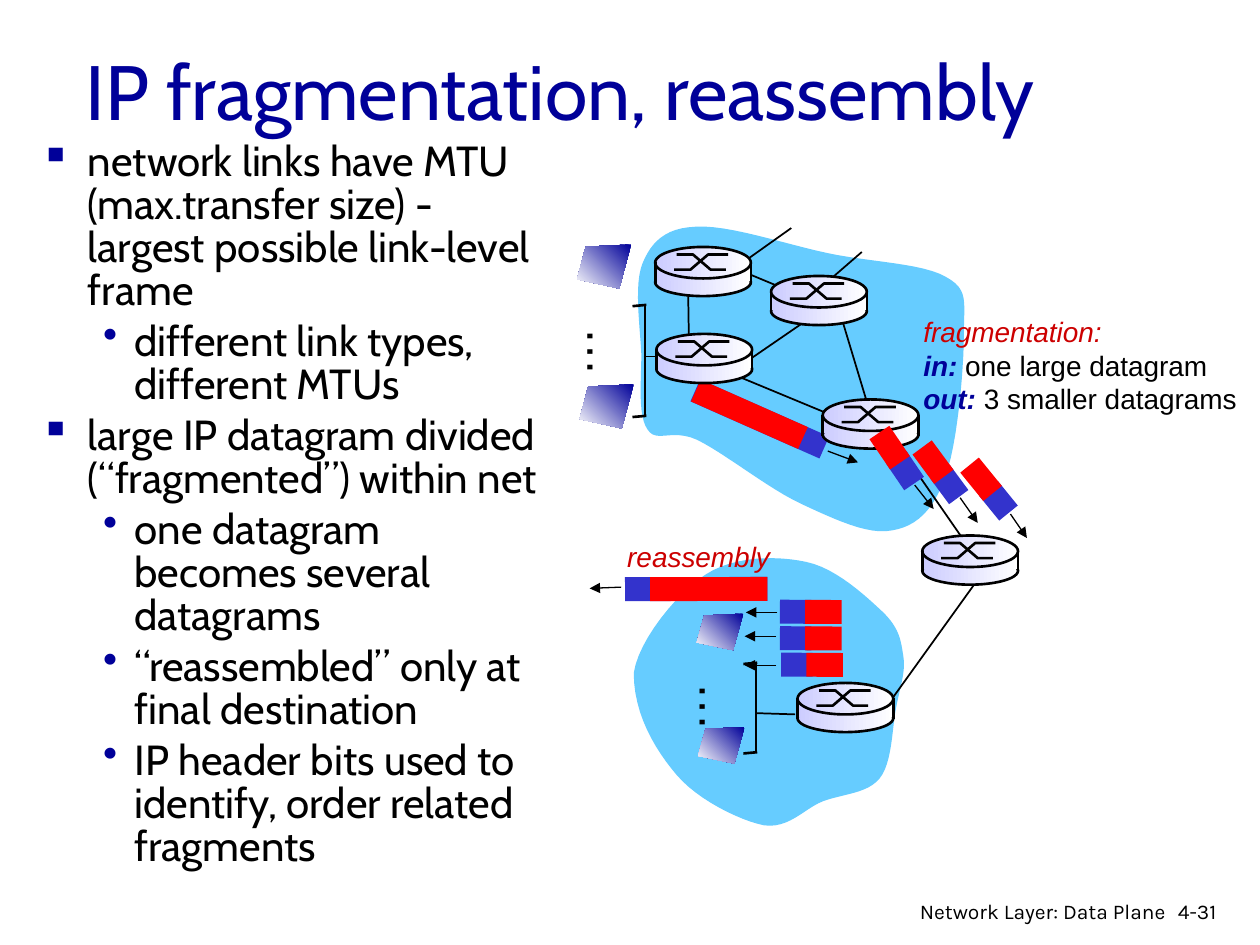
"""Build the slide on IP fragmentation and reassembly."""
from dataclasses import dataclass
from itertools import chain
from math import cos, radians, sin
from typing import Any, Optional

from lxml.etree import SubElement
from pptx import Presentation
from pptx.dml.color import RGBColor
from pptx.enum.shapes import MSO_CONNECTOR, MSO_SHAPE
from pptx.enum.text import MSO_ANCHOR, MSO_AUTO_SIZE, PP_ALIGN
from pptx.oxml.ns import qn
from pptx.util import Emu, Pt

PX = 9144
CURVE_STEPS = 12
Point = tuple[float, float]


@dataclass(frozen=True)
class Theme:
    black: RGBColor = RGBColor(0, 0, 0)
    white: RGBColor = RGBColor(255, 255, 255)
    navy: RGBColor = RGBColor(0, 0, 0x99)
    crimson: RGBColor = RGBColor(0xCC, 0, 0)
    cloud: RGBColor = RGBColor(0x66, 0xCC, 0xFF)
    header: RGBColor = RGBColor(0x33, 0x33, 0xCC)
    payload: RGBColor = RGBColor(255, 0, 0)
    lilac: RGBColor = RGBColor(0xCC, 0xCC, 0xFF)
    heading_font: str = "Cabin"
    label_font: str = "Arial"
    footer_font: str = "Karla"
    title_size: float = 44
    body_size: float = 24
    label_size: float = 16
    dots_size: float = 28
    footer_size: float = 12
    thin: float = 0.75
    link: float = 1
    heavy: float = 1.5


THEME = Theme()


@dataclass(frozen=True)
class Packet:
    center: Point
    header_width: int
    payload_width: int
    offset: int
    rotation: float
    arrow: tuple[Point, Point]


@dataclass(frozen=True)
class Site:
    bus: int
    top: int
    bottom: int
    hosts: tuple[Point, Point]
    host_size: tuple[int, int]
    dots: Point


@dataclass(frozen=True)
class Bullet:
    level: int
    text: str


BULLETS = (
    Bullet(0, "network links have MTU (max.transfer size) - largest possible link-level frame"),
    Bullet(1, "different link types, different MTUs"),
    Bullet(0, "large IP datagram divided (“fragmented”) within net"),
    Bullet(1, "one datagram becomes several datagrams"),
    Bullet(1, "“reassembled” only at final destination"),
    Bullet(1, "IP header bits used to identify, order related fragments"),
)
BULLET_STYLES = (("▪", 38, -38), ("•", 75, -25))
CORE_CLOUD = [
    (552, 180), (528, 181), (517, 192), (510, 209), (503, 226), (508, 259), (509, 281),
    (509, 303), (506, 330), (514, 341), (521, 352), (533, 340), (553, 349),
    (574, 359), (610, 388), (636, 400), (662, 412), (689, 425), (708, 421),
    (727, 418), (741, 405), (750, 379), (760, 353), (765, 292), (765, 266),
    (765, 239), (769, 230), (751, 220), (733, 209), (690, 208), (657, 201),
    (624, 194), (577, 178), (552, 180)]
EDGE_CLOUD = [
    (503, 534), (507, 508), (537, 471), (560, 456), (583, 441), (617, 441), (640, 446),
    (664, 451), (688, 474), (701, 486), (714, 499), (715, 508), (717, 521),
    (719, 534), (714, 546), (711, 563), (708, 579), (708, 606), (698, 618),
    (688, 630), (669, 630), (653, 636), (638, 642), (626, 658), (606, 655),
    (587, 651), (554, 635), (537, 615), (520, 595), (503, 567), (503, 534)]
LINKS = (
    ((511, 283), (525, 283)), ((574, 209), (646, 239)), ((666, 246), (688, 319)),
    ((546, 221), (547, 285)), ((572, 293), (678, 337)), ((763, 426), (711, 351)),
    ((658, 242), (575, 299)), ((628, 181), (576, 218)), ((684, 200), (654, 226)),
    ((776, 460), (707, 556)), ((600, 566), (631, 567)))
DATAGRAM = Packet((603, 332.5), 112, 93, 9, 23.9, ((657, 358), (681, 367)))
REASSEMBLED = Packet((552.5, 467.5), 113, 93, 10, 179.9, ((493, 466), (468, 467)))
ARRIVING = tuple(
    Packet((x, y), 25, 29, 22, 180.4, ((start, arrow_y), (start - 25, arrow_y)))
    for x, y, start, arrow_y in
    ((631.5, 485.5, 617, 486), (631.5, 506.5, 616, 505), (632.5, 527.5, 616, 528)))
DEPARTING = (
    Packet((718.5, 373.5), 25, 29, 22, 55.8, ((726, 385), (741, 404))),
    Packet((753.5, 384.5), 25, 29, 22, 53.6, ((762, 395), (776, 415))),
    Packet((792.5, 397.5), 25, 29, 22, 50.9, ((802, 408), (815, 427))))
ROUTERS = ((653, 317), (520, 196), (521, 265), (612, 219), (732, 425), (633, 542))
SITES = (
    Site(512, 242, 330, ((458, 194), (460, 305)), (43, 35), (452, 251)),
    Site(600, 526, 597, ((553, 487), (554, 577)), (37, 29), (541, 533)))


def emu(length: float) -> Emu:
    return Emu(round(length * PX))


def set_gradient(shape: Any, start: RGBColor, end: RGBColor, angle: int) -> None:
    shape.fill.gradient()
    shape.fill.gradient_angle = angle
    for stop, color in zip(shape.fill.gradient_stops, (start, end)):
        stop.color.rgb = color


def set_outline(shape: Any, width: Optional[float]) -> None:
    shape.shadow.inherit = False
    if width is None:
        shape.line.fill.background()
    else:
        shape.line.color.rgb = THEME.black
        shape.line.width = Pt(width)


def add_line(shapes: Any, start: Point, end: Point, width: float, arrow: bool = False) -> None:
    line = shapes.add_connector(MSO_CONNECTOR.STRAIGHT, *map(emu, start + end))
    line.line.color.rgb = THEME.black
    line.line.width = Pt(width)
    properties = line._element.spPr
    if arrow:
        SubElement(properties.find(qn("a:ln")), qn("a:tailEnd"), type="triangle")
    SubElement(properties, qn("a:effectLst"))


def add_outline(shapes: Any, points: list[Point], close: bool, width: Optional[float] = None) -> Any:
    corners = [(emu(x), emu(y)) for x, y in points]
    builder = shapes.build_freeform(*corners[0])
    builder.add_line_segments(corners[1:], close=close)
    shape = builder.convert_to_shape()
    set_outline(shape, width)
    return shape


def add_cloud(shapes: Any, nodes: list[Point]) -> None:
    points = [nodes[0]]
    for index in range(0, len(nodes) - 1, 3):
        for step in range(1, CURVE_STEPS + 1):
            t = step / CURVE_STEPS
            weights = ((1 - t) ** 3, 3 * t * (1 - t) ** 2, 3 * t * t * (1 - t), t ** 3)
            x, y = (sum(w * node[axis] for w, node in zip(weights, nodes[index:index + 4]))
                    for axis in (0, 1))
            points.append((x, y))
    cloud = add_outline(shapes, points, True)
    cloud.fill.solid()
    cloud.fill.fore_color.rgb = THEME.cloud


def add_packet(shapes: Any, packet: Packet) -> None:
    angle = radians(packet.rotation)
    x, y = packet.center
    parts = ((0, packet.header_width, THEME.header),
             (packet.offset, packet.payload_width, THEME.payload))
    for offset, width, color in parts:
        left = x - offset * cos(angle) - width / 2
        top = y - offset * sin(angle) - 19 / 2
        bar = shapes.add_shape(MSO_SHAPE.RECTANGLE, *map(emu, (left, top, width, 19)))
        bar.rotation = packet.rotation
        bar.fill.solid()
        bar.fill.fore_color.rgb = color
        set_outline(bar, None)
    add_line(shapes, *packet.arrow, THEME.thin, arrow=True)


def add_router(shapes: Any, left: int, top: int) -> None:
    router = shapes.add_group_shape().shapes
    for kind, drop, height, width in ((MSO_SHAPE.OVAL, 17, 22, THEME.heavy),
                                      (MSO_SHAPE.RECTANGLE, 14, 13, None),
                                      (MSO_SHAPE.OVAL, 0, 25, THEME.heavy)):
        part = router.add_shape(kind, *map(emu, (left, top + drop, 76, height)))
        set_gradient(part, THEME.lilac, THEME.white, 0)
        set_outline(part, width)
    for trace in (((15, 18), (28, 18), (42, 6), (58, 6)), ((17, 6), (30, 6), (44, 18), (56, 18))):
        wire = add_outline(router, [(left + x, top + y) for x, y in trace], False, THEME.heavy)
        wire.fill.background()
    for side in (left, left + 76):
        add_line(router, (side, top + 12), (side, top + 29), THEME.heavy)


def add_text(shapes: Any, area: tuple[int, int, int, int], lines: list[str], font: str,
             size: float, color: RGBColor, wrap: bool = True, italic: bool = False) -> Any:
    box = shapes.add_textbox(*map(emu, area))
    frame = box.text_frame
    frame.word_wrap = wrap
    frame.auto_size = MSO_AUTO_SIZE.NONE if wrap else MSO_AUTO_SIZE.SHAPE_TO_FIT_TEXT
    frame.text = "\n".join(lines)
    for para in frame.paragraphs:
        para.font.name, para.font.size = font, Pt(size)
        para.font.color.rgb = color
        if italic:
            para.font.italic = True
    return box


def add_bullets(shapes: Any) -> None:
    box = shapes.add_textbox(*map(emu, (22, 108, 417, 557)))
    frame = box.text_frame
    frame.word_wrap = True
    for index, bullet in enumerate(BULLETS):
        para = frame.add_paragraph() if index else frame.paragraphs[0]
        para.text, para.level, para.line_spacing = bullet.text, bullet.level, 0.85
        if index:
            para.space_before = Pt(4.8)
        mark, margin, indent = BULLET_STYLES[bullet.level]
        properties = para._p.get_or_add_pPr()
        properties.set("marL", str(emu(margin)))
        properties.set("indent", str(emu(indent)))
        color = SubElement(properties, qn("a:buClr"))
        SubElement(color, qn("a:srgbClr"), val=str(THEME.navy))
        SubElement(properties, qn("a:buChar"), char=mark)
        para.font.name, para.font.size = THEME.heading_font, Pt(THEME.body_size)
        para.font.color.rgb = THEME.black


def add_fragmentation_note(shapes: Any) -> None:
    box = add_text(shapes, (723, 245, 270, 90), ["fragmentation:", "", ""], THEME.label_font,
                   THEME.label_size, THEME.black, wrap=False)
    heading, *details = box.text_frame.paragraphs
    heading.font.italic = True
    heading.font.color.rgb = THEME.crimson
    for para, (key, value) in zip(details, (("in:", " one large datagram"),
                                            ("out:", " 3 smaller datagrams"))):
        span = para.add_run()
        span.text, span.font.bold, span.font.italic = key, True, True
        span.font.color.rgb = THEME.navy
        para.add_run().text = value


def add_site(shapes: Any, site: Site) -> None:
    for y in (site.top, site.bottom):
        add_line(shapes, (site.bus - 10, y + 1), (site.bus + 1, y), THEME.heavy)
    add_line(shapes, (site.bus, site.top), (site.bus, site.bottom), THEME.link)
    width, height = site.host_size
    for left, top in site.hosts:
        corners = [(left + x * width, top + y * height)
                   for x, y in ((1, 0), (0.16, 0.05), (0, 0.79), (0.78, 1))]
        set_gradient(add_outline(shapes, corners, True), THEME.navy, THEME.white, 225)
    dots = add_text(shapes, (*site.dots, 59, 57), ["…"], THEME.label_font,
                    THEME.dots_size, THEME.black, wrap=False)
    dots.rotation = 90


def main() -> None:
    deck = Presentation()
    deck.slide_width, deck.slide_height = emu(1000), emu(750)
    shapes = deck.slides.add_slide(deck.slide_layouts[6]).shapes
    title = add_text(shapes, (58, 20, 850, 102), ["IP fragmentation, reassembly"],
                     THEME.heading_font, THEME.title_size, THEME.navy)
    title.text_frame.vertical_anchor = MSO_ANCHOR.MIDDLE
    add_bullets(shapes)
    for nodes in (CORE_CLOUD, EDGE_CLOUD):
        add_cloud(shapes, nodes)
    for start, end in LINKS:
        add_line(shapes, start, end, THEME.link)
    add_fragmentation_note(shapes)
    for packet in chain((DATAGRAM,), ARRIVING, (REASSEMBLED,)):
        add_packet(shapes, packet)
    add_text(shapes, (488, 423, 134, 37), ["reassembly"], THEME.label_font,
             THEME.label_size, THEME.crimson, wrap=False, italic=True)
    for left, top in ROUTERS:
        add_router(shapes, left, top)
    for packet in DEPARTING:
        add_packet(shapes, packet)
    for site in SITES:
        add_site(shapes, site)
    add_text(shapes, (925, 708, 61, 30), ["4-31"], THEME.footer_font,
             THEME.footer_size, THEME.black)
    footer = add_text(shapes, (697, 708, 238, 26), ["Network Layer: Data Plane"],
                      THEME.footer_font, THEME.footer_size, THEME.black)
    footer.text_frame.paragraphs[0].alignment = PP_ALIGN.RIGHT
    deck.save("out.pptx")


if __name__ == "__main__":
    main()
